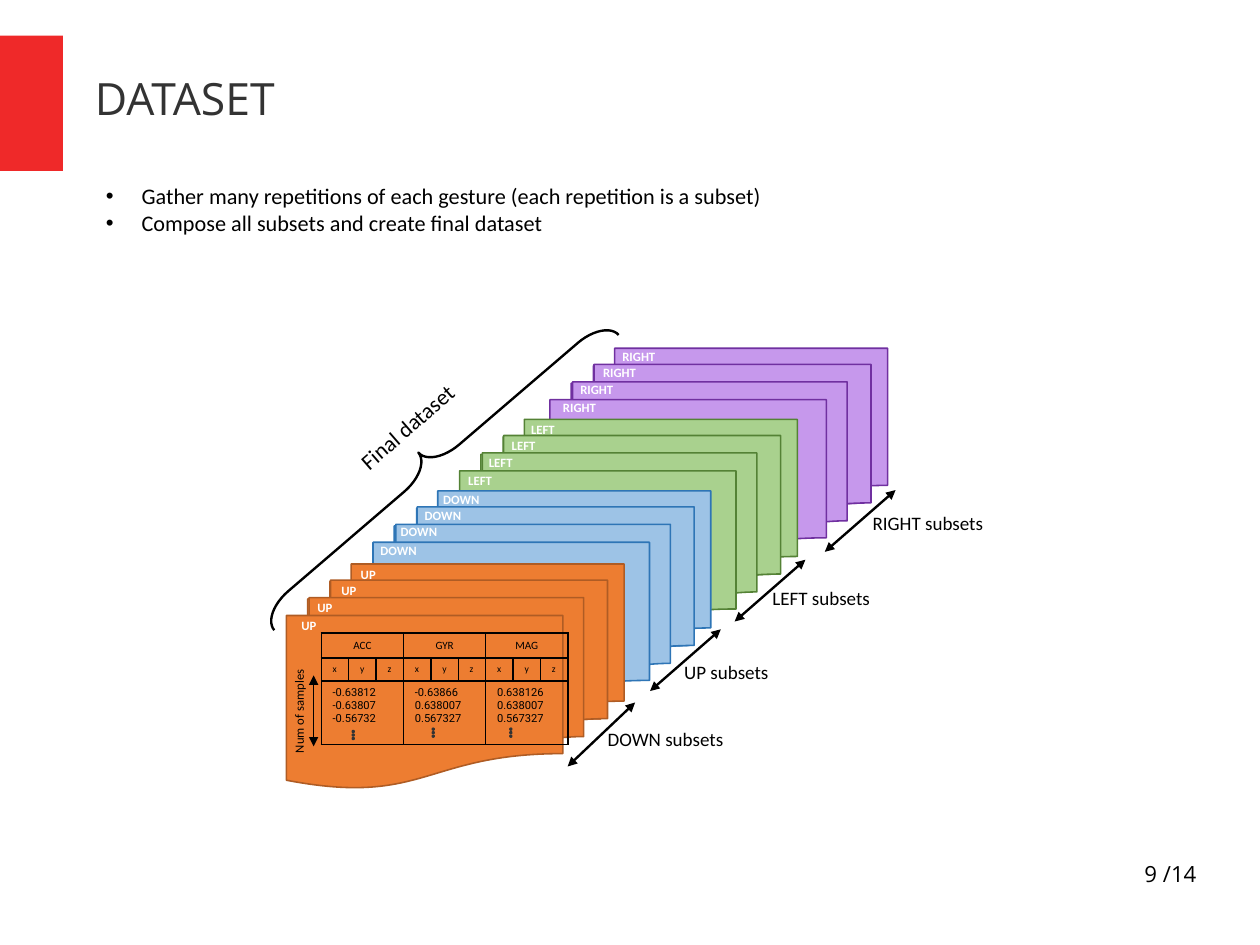
from lxml.etree import SubElement
from pptx import Presentation
from pptx.dml.color import RGBColor
from pptx.enum.shapes import MSO_CONNECTOR, MSO_SHAPE
from pptx.enum.text import MSO_ANCHOR, MSO_AUTO_SIZE, PP_ALIGN
from pptx.oxml import parse_xml
from pptx.oxml.ns import nsdecls, qn
from pptx.util import Pt

BLACK = RGBColor(0x00, 0x00, 0x00)
WHITE = RGBColor(0xFF, 0xFF, 0xFF)
GRAY = RGBColor(0x33, 0x33, 0x33)
RED = RGBColor(0xEF, 0x29, 0x29)
PURPLE, PURPLE_LINE = RGBColor(0xC6, 0x98, 0xEC), RGBColor(0x70, 0x30, 0xA0)
GREEN, GREEN_LINE = RGBColor(0xA9, 0xD1, 0x8E), RGBColor(0x54, 0x82, 0x35)
BLUE, BLUE_LINE = RGBColor(0x9D, 0xC3, 0xE6), RGBColor(0x2E, 0x75, 0xB6)
ORANGE, ORANGE_LINE = RGBColor(0xED, 0x7D, 0x31), RGBColor(0xAF, 0x5C, 0x24)

presentation = Presentation()
presentation.slide_width, presentation.slide_height = Pt(793.75), Pt(595.25)
slide = presentation.slides.add_slide(presentation.slide_layouts[5])
shapes = slide.shapes


def write(frame, text, size=8, font="Calibri", color=BLACK, bold=False,
          align=PP_ALIGN.LEFT, wrap=False, inset=None):
    """Fill a text frame, one paragraph per line of text."""
    frame.text = text
    frame.word_wrap = wrap
    if inset is not None:
        frame.margin_left = frame.margin_right = Pt(inset)
        frame.margin_top = frame.margin_bottom = Pt(inset)
    for paragraph in frame.paragraphs:
        paragraph.alignment = align
        run_font = paragraph.runs[0].font
        run_font.size, run_font.name, run_font.bold = Pt(size), font, bold
        run_font.color.rgb = color


def add_arrow(x1, y1, x2, y2, width):
    """Draw a line with a triangle at both ends."""
    arrow = shapes.add_connector(MSO_CONNECTOR.STRAIGHT, Pt(x1), Pt(y1), Pt(x2), Pt(y2))
    arrow.line.color.rgb, arrow.line.width = BLACK, Pt(width)
    line = arrow.line._get_or_add_ln()
    for end in ("a:headEnd", "a:tailEnd"):
        SubElement(line, qn(end), type="triangle")
    SubElement(arrow._element.spPr, qn("a:effectLst"))


# Red block, title and page number
block = shapes.add_shape(MSO_SHAPE.RECTANGLE, 0, Pt(22.5), Pt(39.6), Pt(85.2))
block.shadow.inherit = False
block.fill.solid()
block.fill.fore_color.rgb = RED
block.line.fill.background()

title = shapes.title
title.left, title.top, title.width, title.height = Pt(59.8), Pt(44.6), Pt(498), Pt(57)
write(title.text_frame, "DATASET", size=28, font="Open Sans", color=GRAY, wrap=True, inset=0)
title.text_frame.vertical_anchor = MSO_ANCHOR.TOP
title.text_frame.auto_size = MSO_AUTO_SIZE.NONE

page = shapes.add_textbox(Pt(568.8), Pt(542.2), Pt(185), Pt(41))
write(page.text_frame, "9 /14", size=14, font="Open Sans", align=PP_ALIGN.RIGHT,
      wrap=True, inset=0)

# Bullets
bullets = shapes.add_textbox(Pt(59.6), Pt(111.6), Pt(435), Pt(41))
write(bullets.text_frame, "Gather many repetitions of each gesture (each repetition is a subset)\n"
      "Compose all subsets and create final dataset", size=14, wrap=True)
for paragraph in bullets.text_frame.paragraphs:
    properties = paragraph._p.get_or_add_pPr()
    properties.set("marL", str(Pt(22.5)))
    properties.set("indent", str(-Pt(22.5)))
    SubElement(properties, qn("a:buFont"), typeface="Arial")
    SubElement(properties, qn("a:buChar"), char="•")

# Brace over all subsets
brace = shapes.add_shape(MSO_SHAPE.RIGHT_BRACE, Pt(259.9), Pt(151.2), Pt(25.9), Pt(285.8))
brace.shadow.inherit = False
brace.rotation = 229.4
brace.adjustments[0], brace.adjustments[1] = 0.882, 0.496
brace.fill.background()
brace.line.color.rgb, brace.line.width = BLACK, Pt(1.5)

# Stacks of subsets, back to front: name, colours, back sheet, tag lefts, first tag top
stacks = [
    ("RIGHT", PURPLE, PURPLE_LINE, 359.8, 219.4, (347.6, 358.5, 372.8, 385), 248.1),
    ("LEFT", GREEN, GREEN_LINE, 302.9, 264.2, (287.9, 300.9, 315.3, 327.5), 294.1),
    ("DOWN", BLUE, BLUE_LINE, 248.4, 309.2, (232.5, 245.4, 260.5, 272.1), 338.1),
    ("UP", ORANGE, ORANGE_LINE, 193.8, 355.3, (182.8, 192.9, 208, 220.2), 385.6),
]
for name, fill, line, left, top, tag_lefts, tag_top in stacks:
    for x, y, width, height in ((left, top, 199.4, 129.6),
                                (left - 13.4, top + 10.1, 202.3, 131)):
        sheets = shapes.add_shape(MSO_SHAPE.FLOWCHART_MULTIDOCUMENT,
                                  Pt(x), Pt(y), Pt(width), Pt(height))
        sheets.shadow.inherit = False
        sheets.fill.solid()
        sheets.fill.fore_color.rgb = fill
        sheets.line.color.rgb, sheets.line.width = line, Pt(1)
    for tag_left, rise in zip(tag_lefts, (0, 11.4, 21.8, 31.9)):
        tag = shapes.add_textbox(Pt(tag_left), Pt(tag_top - rise), Pt(45), Pt(17.3))
        write(tag.text_frame, name, color=WHITE, bold=True, wrap=True)

# Arrows along the stacks with their labels
stack_arrows = [
    ("DOWN subsets", 357.6, 482.8, 42.5, 40.3, 375.8, 454.6, 88.6),
    ("UP subsets", 409.5, 435.3, 44.6, 38.9, 423.9, 412.2, 68.4),
    ("LEFT subsets", 462.8, 391.5, 44.6, 38.9, 479.5, 365.6, 77),
    ("RIGHT subsets", 519.6, 347.6, 44.6, 38.9, 542.6, 318.6, 85),
]
for text, x, y, run, rise, left, top, width in stack_arrows:
    add_arrow(x, y, x + run, y - rise, 1.5)
    label = shapes.add_textbox(Pt(left), Pt(top), Pt(width), Pt(21.6))
    write(label.text_frame, text, size=12)

# Rotated labels and the sample count arrow
add_arrow(197.6, 425.5, 197.6, 470.2, 0.5)
for text, size, left, top, width, height, angle in (
        ("Final dataset", 14, 213.1, 256.3, 87.8, 24.5, 319),
        ("Num of samples", 8, 154.8, 438.9, 67.7, 17.3, 270)):
    label = shapes.add_textbox(Pt(left), Pt(top), Pt(width), Pt(height))
    label.rotation = angle
    write(label.text_frame, text, size=size)

# Table of samples
sensors = [
    ("ACC", "-0.63812\n-0.63807\n-0.56732"),
    ("GYR", "-0.63866\n0.638007\n0.567327"),
    ("MAG", "0.638126\n0.638007\n0.567327"),
]
table = shapes.add_table(3, 9, Pt(202.4), Pt(398.7), Pt(155.7), Pt(70.5)).table
table.first_row = table.horz_banding = False
for column in table.columns:
    column.width = Pt(17.27)
for row, height in zip(table.rows, (15.7, 14.5, 40.3)):
    row.height = Pt(height)

for cell in table.iter_cells():
    cell.fill.background()
    for position, side in enumerate("LRTB"):
        cell._tc.get_or_add_tcPr().insert(position, parse_xml(
            f'<a:ln{side} {nsdecls("a")} w="{Pt(1)}"><a:solidFill>'
            f'<a:srgbClr val="{BLACK}"/></a:solidFill></a:ln{side}>'))

for group, (sensor, samples) in enumerate(sensors):
    first = group * 3
    for row in (0, 2):
        table.cell(row, first).merge(table.cell(row, first + 2))
    write(table.cell(0, first).text_frame, sensor, size=7, align=PP_ALIGN.CENTER, wrap=True)
    write(table.cell(2, first).text_frame, samples, size=7, font="Roboto", wrap=True)
    for offset, axis in enumerate("xyz"):
        cell = table.cell(1, first + offset)
        write(cell.text_frame, axis, size=6, wrap=True)
        cell.margin_right = 0

# Dots below the samples
for left, top in ((221.8, 460.1), (272.2, 458.6), (321.1, 458.6)):
    for index in range(3):
        dot = shapes.add_shape(MSO_SHAPE.OVAL, Pt(left), Pt(top + 2.2 * index), Pt(1.4), Pt(1.4))
        dot.shadow.inherit = False
        dot.fill.solid()
        dot.fill.fore_color.rgb = GRAY
        dot.line.color.rgb, dot.line.width = GRAY, Pt(0)

presentation.save("out.pptx")
